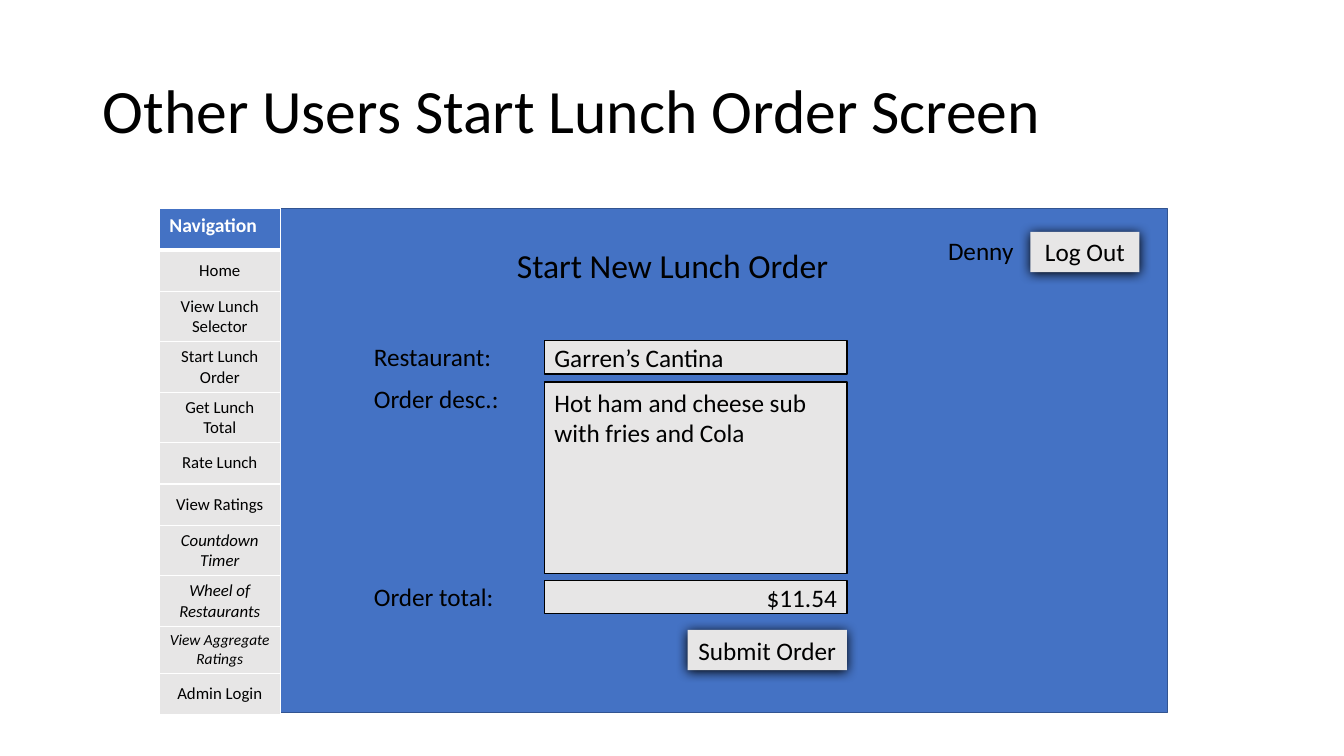
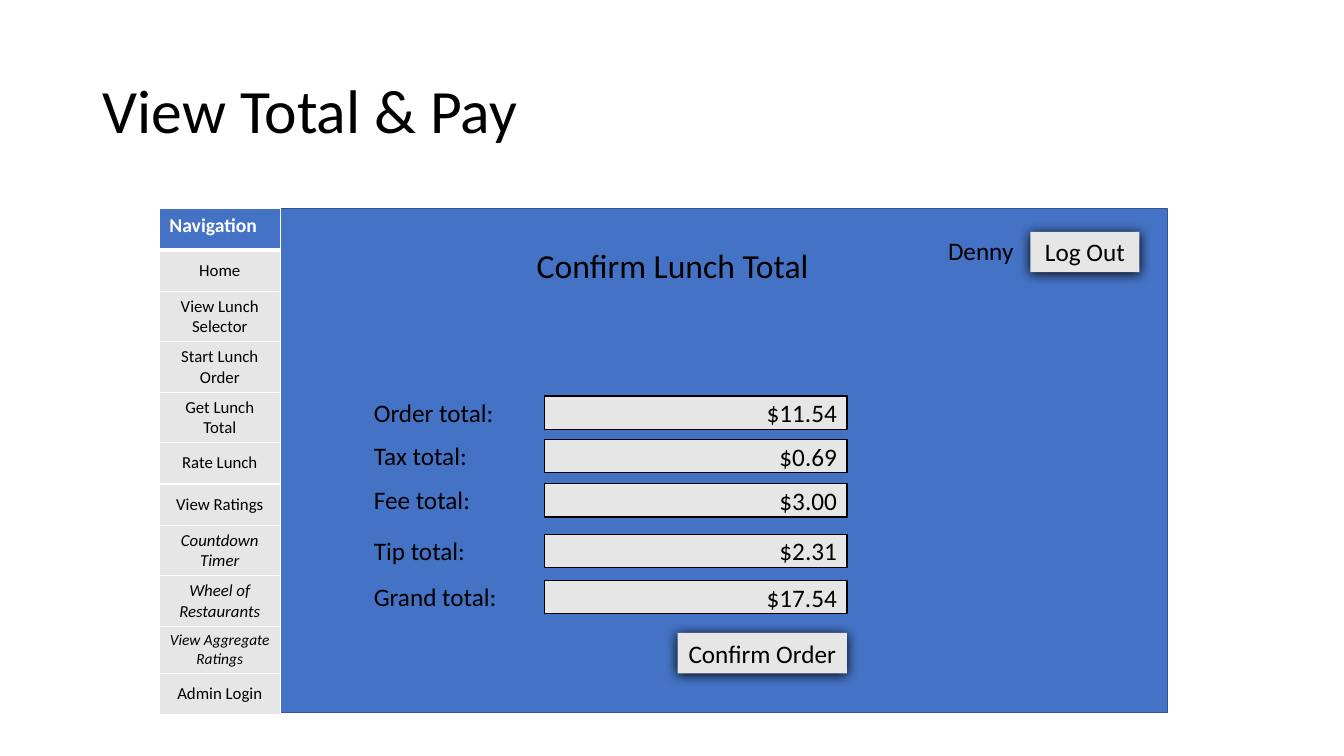
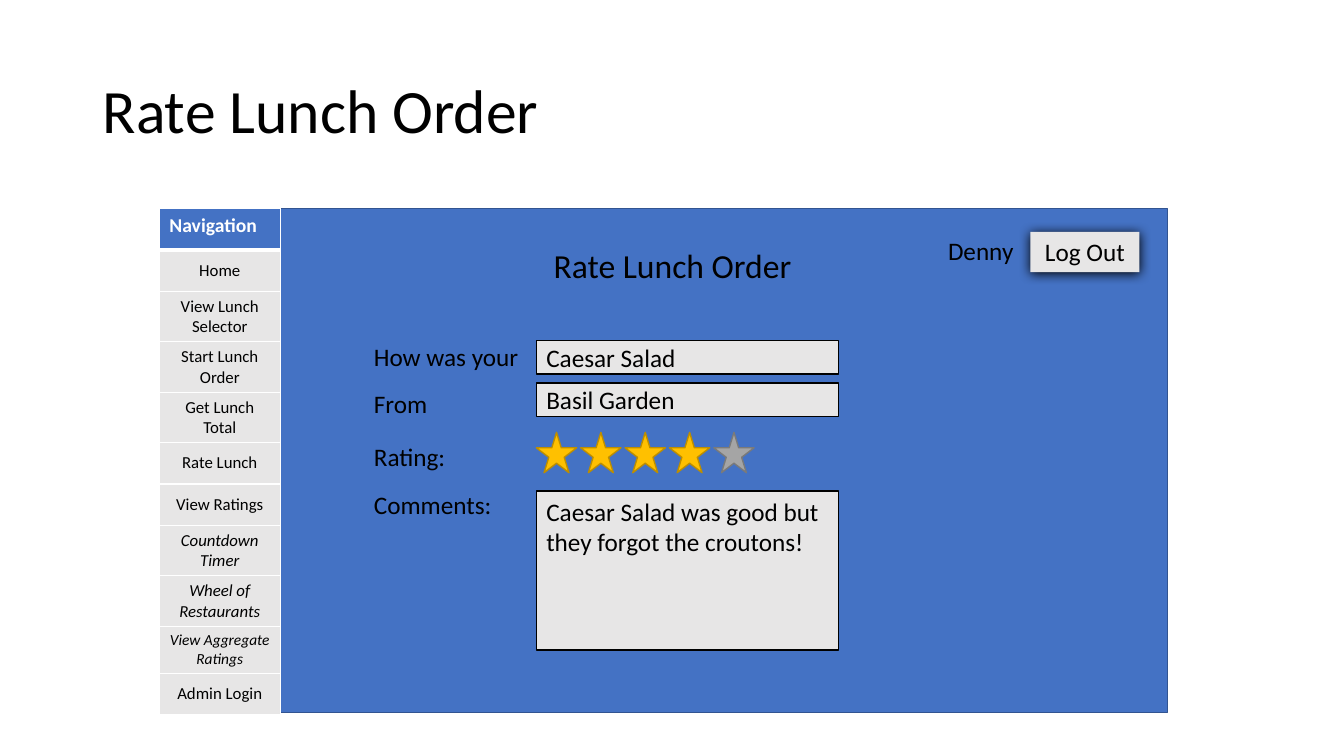
from dataclasses import dataclass

from lxml.etree import SubElement
from pptx import Presentation
from pptx.dml.color import RGBColor
from pptx.enum.shapes import MSO_SHAPE
from pptx.enum.text import MSO_ANCHOR, PP_ALIGN
from pptx.oxml import parse_xml
from pptx.oxml.ns import nsdecls, qn
from pptx.util import Inches, Pt


@dataclass(frozen=True)
class Theme:
    """Colours, font and type sizes shared by all slides."""

    font: str = "Calibri"
    black: str = "000000"
    white: str = "FFFFFF"
    blue: str = "4472C4"
    blue_edge: str = "325491"
    light_gray: str = "E7E6E6"
    gold: str = "FFC000"
    gold_edge: str = "BD8E00"
    gray: str = "A5A5A5"
    gray_edge: str = "7A7A7A"
    title_size: int = 44
    heading_size: int = 24
    body_size: int = 18
    menu_title_size: int = 14
    menu_size: int = 12
    menu_small_size: int = 11


THEME = Theme()

MENU = [
    ("Home", {}),
    ("View Lunch Selector", {}),
    ("Start Lunch Order", {}),
    ("Get Lunch Total", {}),
    ("Rate Lunch", {}),
    ("View Ratings", {}),
    ("Countdown Timer", {"italic": True}),
    ("Wheel of Restaurants", {"italic": True}),
    ("View Aggregate Ratings", {"italic": True, "size": THEME.menu_small_size}),
    ("Admin Login", {}),
]


def write_text(text_frame, text, size=THEME.body_size, color=THEME.black, bold=False,
               italic=False, align=PP_ALIGN.LEFT, line_spacing=None):
    """Write one formatted paragraph into a text frame."""
    paragraph = text_frame.paragraphs[0]
    paragraph.alignment = align
    if line_spacing:
        paragraph.line_spacing = line_spacing
    run = paragraph.add_run()
    run.text = text
    run.font.name = THEME.font
    run.font.size = Pt(size)
    run.font.bold = bold
    run.font.italic = italic
    run.font.color.rgb = RGBColor.from_string(color)


def add_text(slide, text, left, top, width, height, anchor=MSO_ANCHOR.TOP, **text_format):
    """Add a wrapping text box."""
    box = slide.shapes.add_textbox(Inches(left), Inches(top), Inches(width), Inches(height))
    box.text_frame.word_wrap = True
    box.text_frame.vertical_anchor = anchor
    write_text(box.text_frame, text, **text_format)


def add_block(slide, left, top, width, height, fill, line=None, kind=MSO_SHAPE.RECTANGLE):
    """Add a flat filled shape, outlined when a line colour is given."""
    shape = slide.shapes.add_shape(
        kind, Inches(left), Inches(top), Inches(width), Inches(height))
    shape.shadow.inherit = False
    shape.fill.solid()
    shape.fill.fore_color.rgb = RGBColor.from_string(fill)
    if line:
        shape.line.color.rgb = RGBColor.from_string(line)
        shape.line.width = Pt(1)
    else:
        shape.line.fill.background()
    return shape


def add_button(slide, text, left, top, width):
    """Add a button with a soft shadow below it."""
    button = add_block(slide, left, top, width, 0.4, THEME.light_gray)
    effects = button.element.spPr.find(qn("a:effectLst"))
    shadow = SubElement(effects, qn("a:outerShdw"), blurRad=str(Pt(8.5)),
                        dist=str(Pt(1)), dir="5400000", algn="t", rotWithShape="0")
    SubElement(shadow, qn("a:srgbClr"), val=THEME.black)
    button.text_frame.word_wrap = False
    button.text_frame.vertical_anchor = MSO_ANCHOR.TOP
    write_text(button.text_frame, text, align=PP_ALIGN.CENTER)


def add_label(slide, text, top):
    """Add the caption of a form row."""
    add_text(slide, text, 3.61, top, 2.27, 0.4)


def add_field(slide, label, value, top, left=5.4, height=0.33, label_top=None,
              anchor=MSO_ANCHOR.MIDDLE, align=PP_ALIGN.LEFT):
    """Add a form row: an outlined input box and its caption."""
    box = add_block(slide, left, top, 3, height, THEME.light_gray, THEME.black)
    box.text_frame.word_wrap = True
    box.text_frame.vertical_anchor = anchor
    write_text(box.text_frame, value, align=align)
    add_label(slide, label, top - 0.04 if label_top is None else label_top)


def style_cell(cell, fill, bottom_width=1):
    """Fill a table cell and give it white borders."""
    cell.fill.solid()
    cell.fill.fore_color.rgb = RGBColor.from_string(fill)
    properties = cell._tc.get_or_add_tcPr()
    widths = {"lnL": 1, "lnR": 1, "lnT": 1, "lnB": bottom_width}
    for index, (edge, width) in enumerate(widths.items()):
        properties.insert(index, parse_xml(
            f'<a:{edge} {nsdecls("a")} w="{Pt(width)}"><a:solidFill>'
            f'<a:srgbClr val="{THEME.white}"/></a:solidFill></a:{edge}>'))


def add_navigation(slide):
    """Add the navigation menu as a one-column table."""
    row_height = 0.41
    row_count = len(MENU) + 1
    table = slide.shapes.add_table(
        row_count, 1, Inches(1.58), Inches(2.07), Inches(1.2),
        Inches(row_height * row_count)).table
    for row in table.rows:
        row.height = Inches(row_height)
    header = table.cell(0, 0)
    style_cell(header, THEME.blue, bottom_width=3)
    write_text(header.text_frame, "Navigation", size=THEME.menu_title_size,
               color=THEME.white, bold=True)
    for row_index, (text, text_format) in enumerate(MENU, start=1):
        cell = table.cell(row_index, 0)
        style_cell(cell, THEME.light_gray)
        cell.vertical_anchor = MSO_ANCHOR.MIDDLE
        write_text(cell.text_frame, text, align=PP_ALIGN.CENTER,
                   **{"size": THEME.menu_size, **text_format})


def add_rating(slide, left, top, score, total=5):
    """Add a row of stars, gold up to the score and gray after it."""
    for index in range(total):
        fill, line = ((THEME.gold, THEME.gold_edge) if index < score
                      else (THEME.gray, THEME.gray_edge))
        add_block(slide, left + 0.44 * index, top, 0.4, 0.4, fill, line,
                  MSO_SHAPE.STAR_5_POINT)


def add_screen(presentation, title, heading):
    """Add a slide with its title and the common application window."""
    slide = presentation.slides.add_slide(presentation.slide_layouts[6])
    add_text(slide, title, 0.92, 0.4, 11.5, 1.45, anchor=MSO_ANCHOR.MIDDLE,
             size=THEME.title_size, line_spacing=0.9)
    add_block(slide, 1.58, 2.07, 10, 5, THEME.blue, THEME.blue_edge)
    add_text(slide, heading, 3.93, 2.38, 5.48, 0.5, size=THEME.heading_size,
             align=PP_ALIGN.CENTER)
    add_text(slide, "Denny", 8.94, 2.29, 1.21, 0.4, align=PP_ALIGN.RIGHT)
    add_button(slide, "Log Out", 10.22, 2.3, 1.08)
    add_navigation(slide)
    return slide


def add_order_slide(presentation):
    """Build the form that starts a lunch order."""
    slide = add_screen(presentation, "Other Users Start Lunch Order Screen",
                       "Start New Lunch Order")
    add_field(slide, "Restaurant:", "Garren’s Cantina", 3.38)
    add_field(slide, "Order desc.:", "Hot ham and cheese sub with fries and Cola", 3.79,
              height=1.9, anchor=MSO_ANCHOR.TOP)
    add_field(slide, "Order total:", "$11.54", 5.76, align=PP_ALIGN.RIGHT)
    add_button(slide, "Submit Order", 6.82, 6.25, 1.58)


def add_payment_slide(presentation):
    """Build the list of amounts to confirm."""
    slide = add_screen(presentation, "View Total & Pay", "Confirm Lunch Total")
    amounts = [
        ("Order total:", "$11.54", 3.93),
        ("Tax total:", "$0.69", 4.36),
        ("Fee total:", "$3.00", 4.8),
        ("Tip total:", "$2.31", 5.3),
        ("Grand total:", "$17.54", 5.76),
    ]
    for label, amount, top in amounts:
        add_field(slide, label, amount, top, align=PP_ALIGN.RIGHT)
    add_button(slide, "Confirm Order", 6.72, 6.28, 1.68)


def add_rating_slide(presentation):
    """Build the form that rates a lunch order."""
    slide = add_screen(presentation, "Rate Lunch Order", "Rate Lunch Order")
    left = 5.32
    add_field(slide, "How was your", "Caesar Salad", 3.38, left=left)
    add_field(slide, "From", "Basil Garden", 3.8, left=left, label_top=3.8)
    add_label(slide, "Rating:", 4.33)
    add_rating(slide, left, 4.29, score=4)
    add_field(slide, "Comments:", "Caesar Salad was good but they forgot the croutons!",
              4.87, left=left, height=1.58, label_top=4.81, anchor=MSO_ANCHOR.TOP)


def main():
    """Build and save the presentation."""
    presentation = Presentation()
    presentation.slide_width = Inches(13.33)
    presentation.slide_height = Inches(7.5)
    add_order_slide(presentation)
    add_payment_slide(presentation)
    add_rating_slide(presentation)
    presentation.save("out.pptx")


main()
